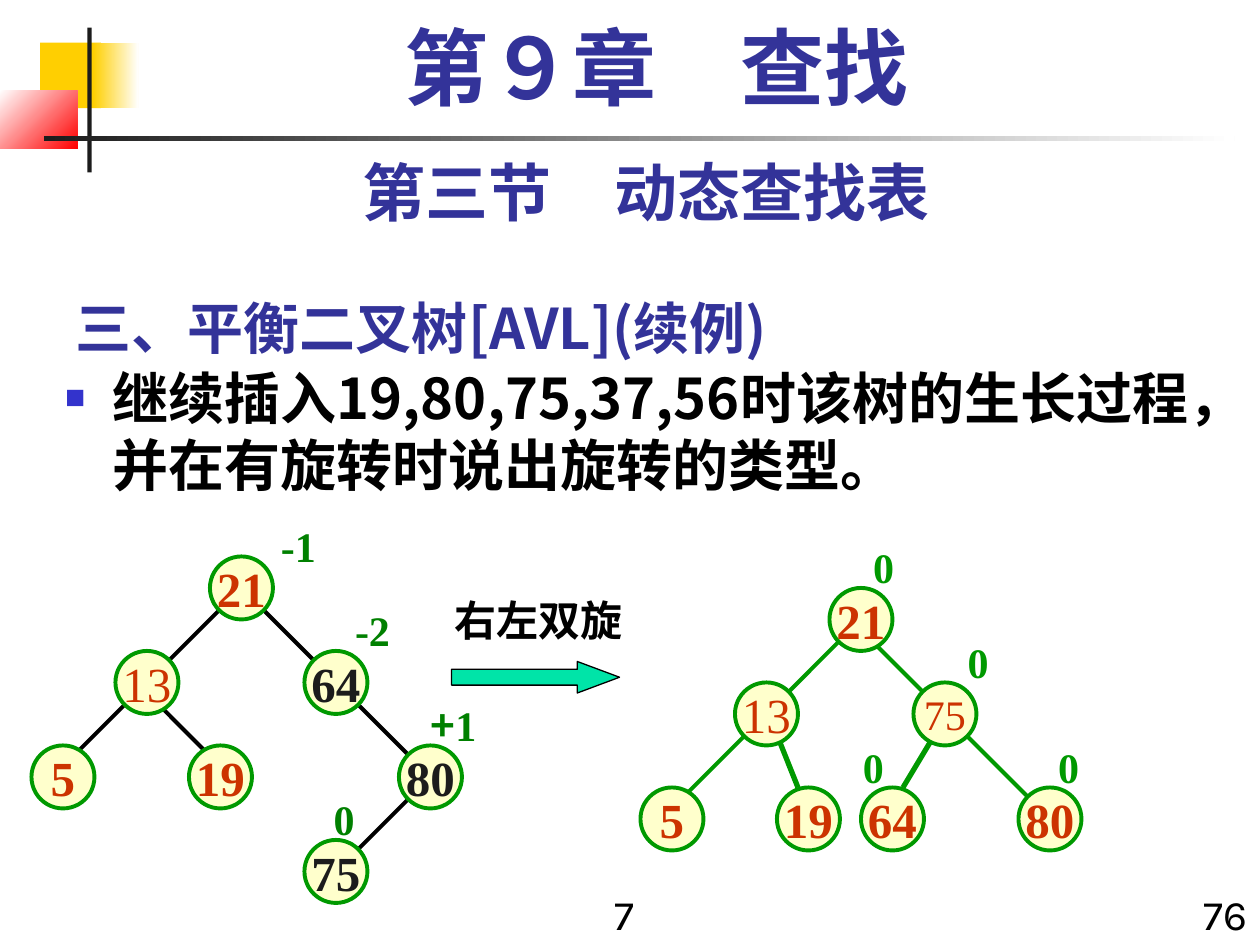
"""Build the slide on a right-left double rotation of an AVL tree."""
from dataclasses import dataclass

from lxml import etree
from pptx import Presentation
from pptx import util as u
from pptx.dml.color import RGBColor
from pptx.enum import shapes, text
from pptx.oxml import ns


@dataclass(frozen=True)
class Theme:
    indigo: str = "333399"
    bullet: str = "3333CC"
    black: str = "000000"
    ink: str = "1C1C1C"
    white: str = "FFFFFF"
    gold: str = "FFCF01"
    red: str = "FF0000"
    cream: str = "FFFFCC"
    green: str = "009900"
    dark_green: str = "008000"
    rust: str = "CC3300"
    mint: str = "00E4A8"
    cjk: str = "Noto Sans CJK SC"
    serif: str = "Times New Roman"
    sans: str = "Karla"
    chapter: int = 48
    section: int = 36
    heading: int = 32
    key: int = 28
    label: int = 24


THEME = Theme()
ALIGN = text.PP_ALIGN
NODE_SIZE = 36


def rgb(color):
    """Return the colour object for a hex string."""
    return RGBColor.from_string(color)


def box(left, top, width, height):
    """Return a frame given in points as lengths."""
    return [u.Pt(value) for value in (left, top, width, height)]


def write(holder, content, *, font=THEME.serif, size=THEME.label, color=THEME.black,
          bold=True, align=ALIGN.LEFT, before=0, spacing=1.0, right_inset=7.2,
          anchor=text.MSO_ANCHOR.TOP, wrap=True, grow=False):
    """Write a string, or a list of (string, font) pairs, as one paragraph."""
    frame = holder.text_frame
    frame.word_wrap = wrap
    frame.vertical_anchor = anchor
    frame.margin_right = u.Pt(right_inset)
    frame.auto_size = (text.MSO_AUTO_SIZE.SHAPE_TO_FIT_TEXT if grow
                       else text.MSO_AUTO_SIZE.NONE)
    paragraph = frame.paragraphs[0]
    paragraph.alignment = align
    paragraph.line_spacing = spacing
    paragraph.space_before = u.Pt(before)
    pieces = [(content, font)] if isinstance(content, str) else content
    for words, face in pieces:
        run = paragraph.add_run()
        run.text = words
        run.font.name = face
        run.font.size = u.Pt(size)
        run.font.bold = bold
        run.font.color.rgb = rgb(color)
        east_asian = etree.SubElement(run.font._element, ns.qn("a:ea"))
        east_asian.set("typeface", THEME.cjk)
    return paragraph


def add_text(parent, frame, content, **style):
    """Add a text box with formatted text."""
    write(parent.shapes.add_textbox(*box(*frame)), content, **style)


def fill_placeholder(placeholder, frame, content, **style):
    """Move a placeholder and write its text."""
    placeholder.left, placeholder.top, placeholder.width, placeholder.height = box(*frame)
    return write(placeholder, content, **style)


def add_bullet(paragraph):
    """Give a paragraph a small square bullet with a hanging indent."""
    properties = paragraph._p.get_or_add_pPr()
    properties.set("marL", str(u.Pt(27)))
    properties.set("indent", str(u.Pt(-27)))
    bullet_color = etree.SubElement(properties, ns.qn("a:buClr"))
    etree.SubElement(bullet_color, ns.qn("a:srgbClr")).set("val", THEME.bullet)
    etree.SubElement(properties, ns.qn("a:buSzPct")).set("val", "60000")
    etree.SubElement(properties, ns.qn("a:buFont")).set("typeface", THEME.serif)
    etree.SubElement(properties, ns.qn("a:buChar")).set("char", "■")


def add_figure(parent, kind, frame, fill, line=None, weight=0.75):
    """Add a flat preset shape with a plain fill."""
    figure = parent.shapes.add_shape(kind, *box(*frame))
    figure.shadow.inherit = False
    figure.fill.solid()
    figure.fill.fore_color.rgb = rgb(fill)
    if line:
        figure.line.color.rgb = rgb(line)
        figure.line.width = u.Pt(weight)
    else:
        figure.line.fill.background()
    return figure


def add_fade(slide, frame, start, end, angle=0):
    """Add a rectangle that fades from one colour to another."""
    fade = add_figure(slide, shapes.MSO_SHAPE.RECTANGLE, frame, start)
    fade.fill.gradient()
    fade.fill.gradient_angle = angle
    for stop, color in zip(fade.fill.gradient_stops, (start, end)):
        stop.color.rgb = rgb(color)


def add_edge(tree, ends, color, weight=2.25):
    """Add a straight branch between two points."""
    edge = tree.shapes.add_connector(shapes.MSO_CONNECTOR.STRAIGHT, *box(*ends))
    edge.line.color.rgb = rgb(color)
    edge.line.width = u.Pt(weight)
    etree.SubElement(edge._element.spPr, ns.qn("a:effectLst"))


def add_node(tree, left, top, key, **style):
    """Add a round tree node with its key."""
    node = add_figure(tree, shapes.MSO_SHAPE.OVAL, (left, top, NODE_SIZE, NODE_SIZE),
                      THEME.cream, THEME.green, 2.25)
    look = {"size": THEME.key, "color": THEME.rust, **style}
    write(node, key, align=ALIGN.CENTER, anchor=text.MSO_ANCHOR.MIDDLE, wrap=False, **look)


def add_tree(slide, edges, nodes, balances, edge_color, balance_color):
    """Add a grouped tree of branches, nodes and balance factors."""
    tree = slide.shapes.add_group_shape()
    for ends, weight in edges:
        add_edge(tree, ends, edge_color, weight)
    for left, top, key, style in nodes:
        add_node(tree, left, top, key, **style)
    for left, top, width, factor in balances:
        add_text(tree, (left, top, width, 36), factor, color=balance_color,
                 wrap=False, grow=True)
    return tree


def add_before_rotation(slide):
    """Add the unbalanced tree and the arrow that names the rotation."""
    ends = [(90, 402, 120, 432), (78, 396, 42, 432), (234, 456, 204, 486),
            (150, 348, 180, 378), (126, 348, 96, 378), (204, 402, 234, 432)]
    rotated = {"color": THEME.ink}
    nodes = [(120, 318, "21", {}), (66, 372, "13", {"bold": False}),
             (18, 426, "5", {}), (108, 426, "19", {}), (174, 372, "64", rotated),
             (228, 426, "80", rotated), (174, 480, "75", rotated)]
    plus_one = [("+", THEME.cjk), ("1", THEME.serif)]
    balances = [(153.4, 294, 34.6, "-1"), (195.8, 342, 34.6, "-2"),
                (239, 396, 48, plus_one), (183.6, 450, 25.9, "0")]
    tree = add_tree(slide, [(end, 2.25) for end in ends], nodes, balances,
                    THEME.black, THEME.dark_green)
    arrow = add_figure(tree, shapes.MSO_SHAPE.RIGHT_ARROW, (258, 378, 96, 18),
                       THEME.mint, THEME.black)
    arrow.adjustments[1] = 1.34
    add_text(tree, (252.7, 336, 110.2, 36), "右左双旋", wrap=False, grow=True)


def add_after_rotation(slide):
    """Add the balanced tree."""
    edges = [((444, 420, 456, 450), 3), ((534, 420, 516, 450), 3),
             ((552, 420, 594, 462), 2.25), ((498, 366, 534, 402), 2.25),
             ((426, 420, 390, 456), 2.25), ((480, 366, 450, 396), 2.25)]
    nodes = [(474, 336, "21", {}), (420, 390, "13", {"bold": False}),
             (522, 390, "75", {"bold": False, "size": THEME.label}),
             (366, 450, "5", {}), (444, 450, "19", {}),
             (492, 450, "64", {}), (582, 450, "80", {})]
    corners = [(491.8, 306), (545.8, 360), (486, 420), (597.6, 420)]
    balances = [(left, top, 25.9, "0") for left, top in corners]
    add_tree(slide, edges, nodes, balances, THEME.green, THEME.green)


def add_ornament(slide):
    """Add the coloured blocks and crossed rules of the header."""
    block = shapes.MSO_SHAPE.RECTANGLE
    add_figure(slide, block, (23, 24.4, 34.6, 37.4), THEME.gold)
    add_fade(slide, (53.3, 24.4, 25.9, 37.4), THEME.gold, THEME.white)
    add_fade(slide, (0, 51.8, 44.2, 33.4), THEME.white, THEME.red, 315)
    add_figure(slide, block, (49.9, 15.8, 2.5, 82.8), THEME.ink)
    add_fade(slide, (25.2, 78, 680.4, 2.5), THEME.ink, THEME.white)


def main():
    """Build and save the slide."""
    deck = Presentation()
    deck.slide_width, deck.slide_height = u.Pt(720), u.Pt(540)
    slide = deck.slides.add_slide(deck.slide_layouts[1])
    title, body = slide.placeholders
    add_ornament(slide)
    fill_placeholder(title, (36, 156, 558, 54), "三、平衡二叉树[AVL](续例)", font=THEME.cjk,
                     size=THEME.heading, color=THEME.indigo, anchor=text.MSO_ANCHOR.BOTTOM)
    task = fill_placeholder(body, (30, 204, 690, 336),
                            "继续插入19,80,75,37,56时该树的生长过程，并在有旋转时说出旋转的类型。",
                            font=THEME.cjk, size=THEME.heading, before=12, right_inset=36)
    add_bullet(task)
    add_text(slide, (48, 12, 654, 60), "第９章　查找", size=THEME.chapter,
             color=THEME.indigo, align=ALIGN.CENTER, before=12, spacing=0.9)
    add_text(slide, (36, 84, 666, 50.4), "第三节　动态查找表", font=THEME.sans, grow=True,
             size=THEME.section, color=THEME.indigo, align=ALIGN.CENTER, before=22.5)
    add_text(slide, (336, 504, 42, 36), "7", font=THEME.sans, bold=False,
             align=ALIGN.CENTER, before=15, grow=True)
    add_text(slide, (672, 504, 48, 42.5), "76", font=THEME.sans, bold=False,
             align=ALIGN.RIGHT, before=15, grow=True)
    add_before_rotation(slide)
    add_after_rotation(slide)
    deck.save("out.pptx")


if __name__ == "__main__":
    main()
